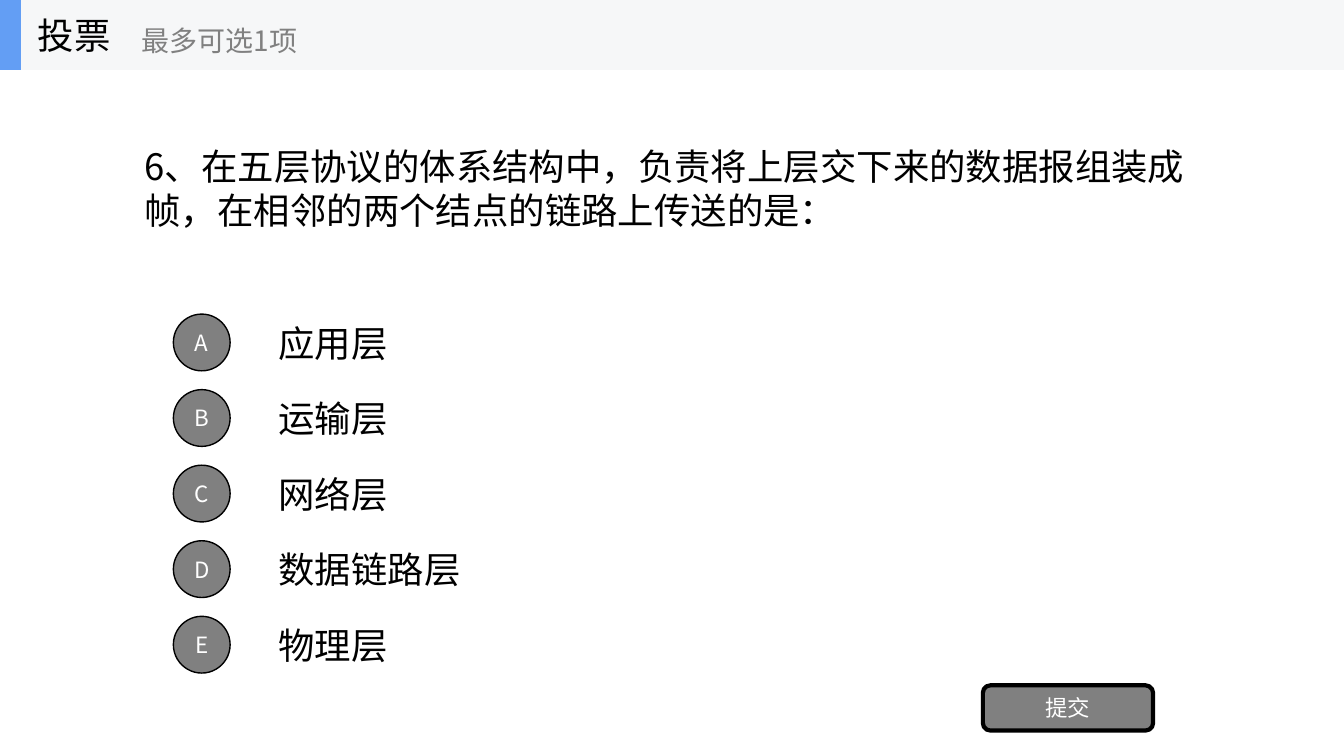
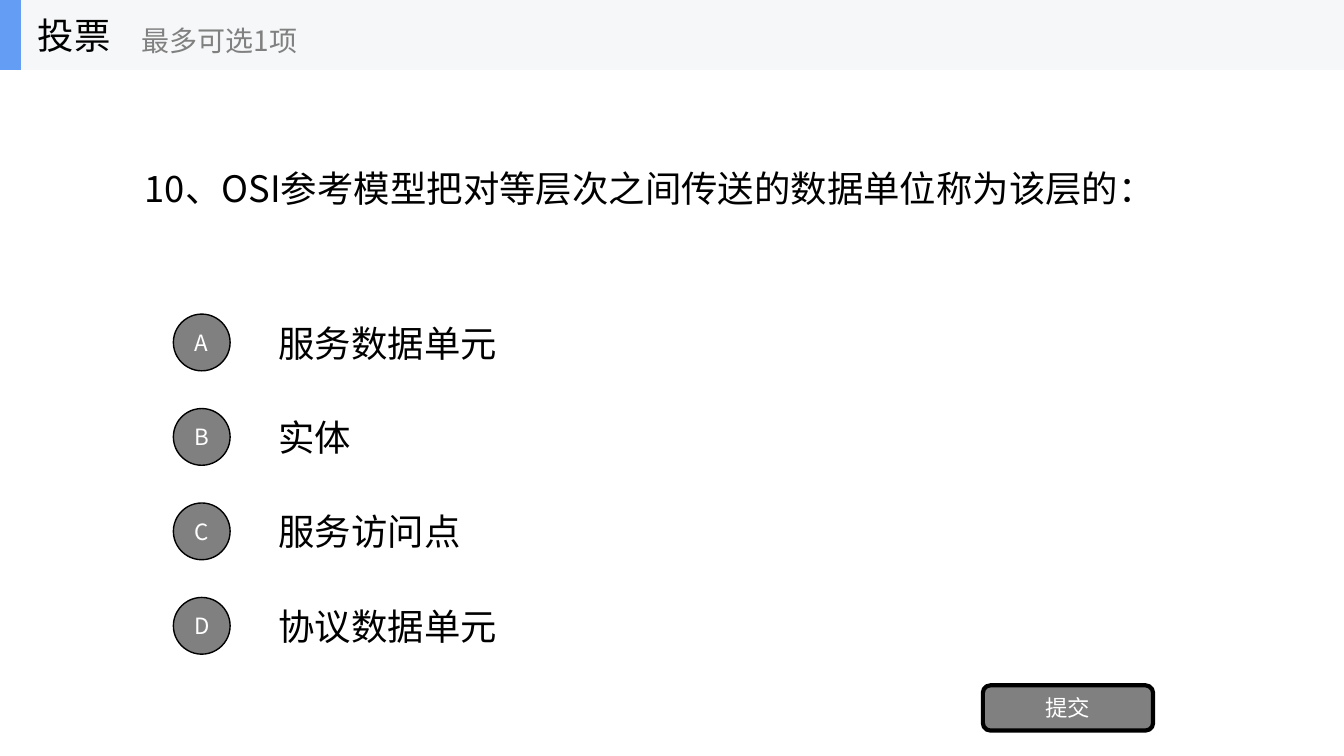
from dataclasses import dataclass
from typing import Any

import pptx
import pptx.dml.color
import pptx.enum.shapes
import pptx.enum.text
import pptx.oxml.ns
import pptx.util

Cm = pptx.util.Cm
Pt = pptx.util.Pt
RGBColor = pptx.dml.color.RGBColor
Kind = pptx.enum.shapes.MSO_SHAPE
Align = pptx.enum.text.PP_ALIGN

# Shared look
BLACK = RGBColor(0x00, 0x00, 0x00)
WHITE = RGBColor(0xFF, 0xFF, 0xFF)
GREY = RGBColor(0x80, 0x80, 0x80)
PALE = RGBColor(0xF6, 0xF7, 0xF8)
BLUE = RGBColor(0x63, 0x9E, 0xF4)
FONT = "Noto Sans CJK SC"

# Shared layout, in centimetres
WIDTH, HEIGHT = 33.87, 19.05
BAND = 1.76
LIST_TOP, LIST_SPAN = 7.74, 9.52
ROW = 1.78
BADGE = 1.43


@dataclass(frozen=True)
class Box:
    left: float
    top: float
    width: float
    height: float

    def sides(self) -> list[int]:
        return [Cm(v) for v in (self.left, self.top, self.width, self.height)]


@dataclass(frozen=True)
class Poll:
    question: str
    answers: tuple[str, ...]


POLLS = (
    Poll(
        "6、在五层协议的体系结构中，负责将上层交下来的数据报组装成帧，在相邻的两个结点的链路上传送的是：",
        ("应用层", "运输层", "网络层", "数据链路层", "物理层"),
    ),
    Poll(
        "10、OSI参考模型把对等层次之间传送的数据单位称为该层的：",
        ("服务数据单元", "实体", "服务访问点", "协议数据单元"),
    ),
)


def write(shape: Any, text: str, size: int, color: RGBColor,
          align: Align = Align.LEFT) -> None:
    """Fill a shape with one middle-anchored paragraph."""
    frame = shape.text_frame
    frame.text = text
    frame.word_wrap = True
    frame.auto_size = pptx.enum.text.MSO_AUTO_SIZE.NONE
    frame.vertical_anchor = pptx.enum.text.MSO_ANCHOR.MIDDLE
    line = frame.paragraphs[0]
    line.alignment = align
    for run in line.runs:
        font = run.font
        font.size, font.name = Pt(size), FONT
        font.color.rgb = color
        # East Asian glyphs need their own typeface entry
        face = pptx.oxml.ns.qn("a:ea")
        run._r.get_or_add_rPr().makeelement(face)
        east = pptx.oxml.parse_xml(
            f'<a:ea {pptx.oxml.ns.nsdecls("a")} typeface="{FONT}"/>')
        run._r.rPr.find(pptx.oxml.ns.qn("a:latin")).addnext(east)


def label(parent: Any, box: Box, text: str, size: int, color: RGBColor) -> None:
    write(parent.add_textbox(*box.sides()), text, size, color)


def block(parent: Any, kind: Kind, box: Box, fill: RGBColor,
          edge: float = 0) -> Any:
    """Add a flat shape, with a black outline if edge is set."""
    shape = parent.add_shape(kind, *box.sides())
    shape.shadow.inherit = False
    shape.fill.solid()
    shape.fill.fore_color.rgb = fill
    if edge:
        shape.line.color.rgb = BLACK
        shape.line.width = Pt(edge)
    else:
        shape.line.fill.background()
    return shape


def button(parent: Any, kind: Kind, box: Box, text: str, edge: float) -> None:
    shape = block(parent, kind, box, GREY, edge)
    frame = shape.text_frame
    frame.margin_left = frame.margin_right = 0
    frame.margin_top = frame.margin_bottom = 0
    write(shape, text, 16, WHITE, Align.CENTER)


def header(slide: Any) -> None:
    group = slide.shapes.add_group_shape().shapes
    block(group, Kind.RECTANGLE, Box(0, 0, WIDTH, BAND), PALE)
    block(group, Kind.RECTANGLE, Box(0, 0, 0.53, BAND), BLUE)
    label(group, Box(0.7, 0, 5.29, BAND), "投票", 26, BLACK)
    label(group, Box(3.32, 0.31, 6.35, 1.43), "最多可选1项", 20, GREY)


def build(deck: Any, poll: Poll) -> None:
    slide = deck.slides.add_slide(deck.slide_layouts[5])
    shapes = slide.shapes

    # Question
    title = shapes.title
    title.left, title.top, title.width, title.height = Box(
        3.39, BAND, 27.09, 5.95).sides()
    write(title, poll.question, 26, BLACK)

    # Answers share the list height in equal steps
    step = LIST_SPAN / len(poll.answers)
    for index, answer in enumerate(poll.answers):
        top = LIST_TOP + index * step
        label(shapes, Box(6.77, top, 23.71, ROW), answer, 26, BLACK)
        spot = Box(4.37, top + (ROW - BADGE) / 2, BADGE, BADGE)
        button(shapes, Kind.OVAL, spot, "ABCDE"[index], 1)

    # Submit button and top band
    button(shapes, Kind.ROUNDED_RECTANGLE,
           Box(24.77, 17.27, 4.29, 1.14), "提交", 3)
    header(slide)


def main() -> None:
    deck = pptx.Presentation()
    deck.slide_width, deck.slide_height = Cm(WIDTH), Cm(HEIGHT)
    for poll in POLLS:
        build(deck, poll)
    deck.save("out.pptx")


if __name__ == "__main__":
    main()
